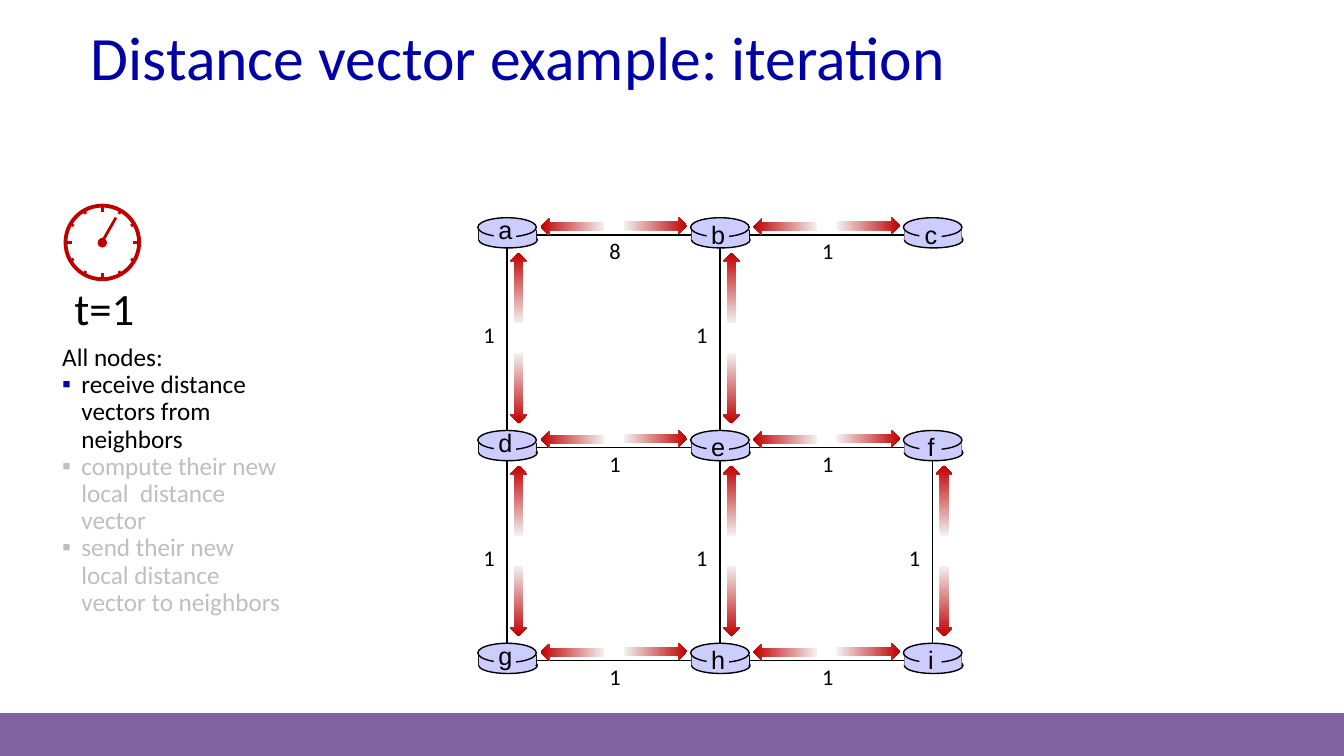
from math import cos, radians, sin

from lxml import etree
from pptx import Presentation
from pptx.dml.color import RGBColor
from pptx.enum import shapes, text
from pptx.oxml import ns
from pptx.util import Pt

# Content
TITLE = "Distance vector example: iteration"
TIME = "t=1"
STEPS = [  # text, text colour, bullet colour
    ("All nodes:", "black", None),
    ("receive distance vectors from neighbors", "black", "blue"),
    ("compute their new local  distance vector", "grey", "grey"),
    ("send their new local distance vector to neighbors", "grey", "grey"),
]
NODES = ["abc", "def", "ghi"]
COSTS = {"ab": 8, "bc": 1, "de": 1, "ef": 1, "gh": 1, "hi": 1,
         "ad": 1, "be": 1, "dg": 1, "eh": 1, "fi": 1}
COLORS = {"blue": "0000A8", "black": "000000", "grey": "BFBFBF", "red": "C00000",
          "pale": "F2F2F2", "node": "CCCCFF", "bar": "8063A1"}

# Layout in points
LEFT, TOP, STEP = 362.2, 167.8, 152
CLOCK = (73.1, 173.2)
KIND = shapes.MSO_SHAPE
SPOTS = {(row[c]): (LEFT + c * STEP, TOP + r * STEP)
         for r, row in enumerate(NODES) for c in range(len(row))}

prs = Presentation()
prs.slide_width, prs.slide_height = Pt(960), Pt(540)
slide = prs.slides.add_slide(prs.slide_layouts[5])


def rgb(name):
    return RGBColor.from_string(COLORS[name])


def place(shape, x, y, w, h):
    shape.left, shape.top, shape.width, shape.height = Pt(x), Pt(y), Pt(w), Pt(h)


def draw(kind, x, y, w, h, fill=None, line=None, width=1):
    shape = slide.shapes.add_shape(kind, Pt(x), Pt(y), Pt(w), Pt(h))
    shape.shadow.inherit = False
    if fill:
        shape.fill.solid()
        shape.fill.fore_color.rgb = rgb(fill)
    else:
        shape.fill.background()
    if line:
        shape.line.color.rgb = rgb(line)
        shape.line.width = Pt(width)
    else:
        shape.line.fill.background()
    return shape


def join(x1, y1, x2, y2, color="black", width=1):
    line = slide.shapes.add_connector(
        shapes.MSO_CONNECTOR.STRAIGHT, Pt(x1), Pt(y1), Pt(x2), Pt(y2))
    line.line.color.rgb = rgb(color)
    line.line.width = Pt(width)
    etree.SubElement(line._element.spPr, ns.qn("a:effectLst"))


def write(words, box, shape=None, size=18, font="Calibri", color="black",
          align="LEFT", wrap=True, inset=None, spacing=None):
    """Write one string, or a list of (text, colour, bullet colour)."""
    if shape is None:
        shape = slide.shapes.add_textbox(0, 0, 0, 0)
    place(shape, *box)
    frame = shape.text_frame
    frame.auto_size = text.MSO_AUTO_SIZE.NONE
    frame.word_wrap = wrap
    frame.vertical_anchor = text.MSO_ANCHOR.TOP
    if inset is not None:
        frame.margin_left = frame.margin_right = Pt(inset)
        frame.margin_top = frame.margin_bottom = Pt(inset)
    items = [(words, color, None)] if isinstance(words, str) else words
    for i, (line, tint, mark) in enumerate(items):
        para = frame.add_paragraph() if i else frame.paragraphs[0]
        para.alignment = text.PP_ALIGN[align]
        if spacing:
            para.line_spacing = spacing
        if mark:
            bullet(para, mark)
        run = para.add_run()
        run.text = line
        run.font.size, run.font.name = Pt(size), font
        run.font.color.rgb = rgb(tint)


def bullet(para, color):
    props = para._p.get_or_add_pPr()
    props.set("marL", str(Pt(13.7)))
    props.set("indent", str(-Pt(13.7)))
    tint = etree.SubElement(props, ns.qn("a:buClr"))
    etree.SubElement(tint, ns.qn("a:srgbClr"), val=COLORS[color])
    etree.SubElement(props, ns.qn("a:buFont"), typeface="Arial")
    etree.SubElement(props, ns.qn("a:buChar"), char="▪")


def arrow(x, y, size, turn):
    shape = draw(KIND.RIGHT_ARROW, x, y, size, 12.2)
    shape.rotation = turn
    shape.fill.gradient()
    shape.fill.gradient_angle = 0
    for stop, name in zip(shape.fill.gradient_stops, ("pale", "red")):
        stop.color.rgb = rgb(name)


def router(name, x, y):
    draw(KIND.OVAL, x - 20.2, y - 2.2, 41.8, 11.5, "node", "black")
    for side in (x - 20.2, x + 20.8):
        join(side, y - 3.6, side, y + 3.6)
    draw(KIND.RECTANGLE, x - 20.2, y - 3.6, 41, 7.2, "node")
    draw(KIND.OVAL, x - 20.9, y - 12.3, 41.8, 13.7, "node", "black")
    draw(KIND.RECTANGLE, x - 9.4, y - 8.6, 15.8, 14.4, "node")
    rise = 18 if x == LEFT else 15
    write(name, (x - 13.4, y - rise, 24.5, 28.8), font="Arial",
          align="CENTER", wrap=False)


# Bottom bar, title and steps
draw(KIND.RECTANGLE, 0, 509.8, 960, 30.2, "bar", "bar", 1)
write(TITLE, (64.8, 13.7, 828, 70.6), shape=slide.shapes.title, size=44,
      color="blue", inset=0)
write(STEPS, (37.4, 242.6, 172.8, 203.8), spacing=0.9)

# Clock with twelve ticks
cx, cy = CLOCK
write(TIME, (46.1, 197.3, 58.3, 46), size=32, wrap=False)
draw(KIND.OVAL, cx - 26.3, cy - 26.3, 52.6, 52.6, line="red", width=2.75)
for hour in range(12):
    turn = radians(30 * hour)
    dx, dy = cos(turn), sin(turn)
    near = 23.6 if hour % 3 else 22
    join(cx + near * dx, cy + near * dy, cx + 27 * dx, cy + 27 * dy, "red", 2)
draw(KIND.OVAL, cx - 3.3, cy - 3.3, 6.6, 6.9, "red")
join(cx + 9.7, cy - 17.7, cx - 1, cy + 1, "red", 2)

# Links, costs and arrows
for start, end in COSTS:
    join(*SPOTS[start], *SPOTS[end])
for (start, end), cost in COSTS.items():
    x, y = SPOTS[start]
    if y == SPOTS[end][1]:
        label = (x + 66, y - 2)
        arrow(x + 24, y - 12, 45.4, 180)
        arrow(x + 83.3, y - 12.6, 45.4, 0)
    else:
        label = (x - 24, y + (58 if y == TOP else 65))
        arrow(x - 17, y + 31.8, 50.4, 270)
        arrow(x - 17, y + 103.4, 50.4, 90)
    write(str(cost), (*label, 23.5, 26.6), size=16, wrap=False)

# Routers
for name, spot in SPOTS.items():
    router(name, *spot)

prs.save("out.pptx")
